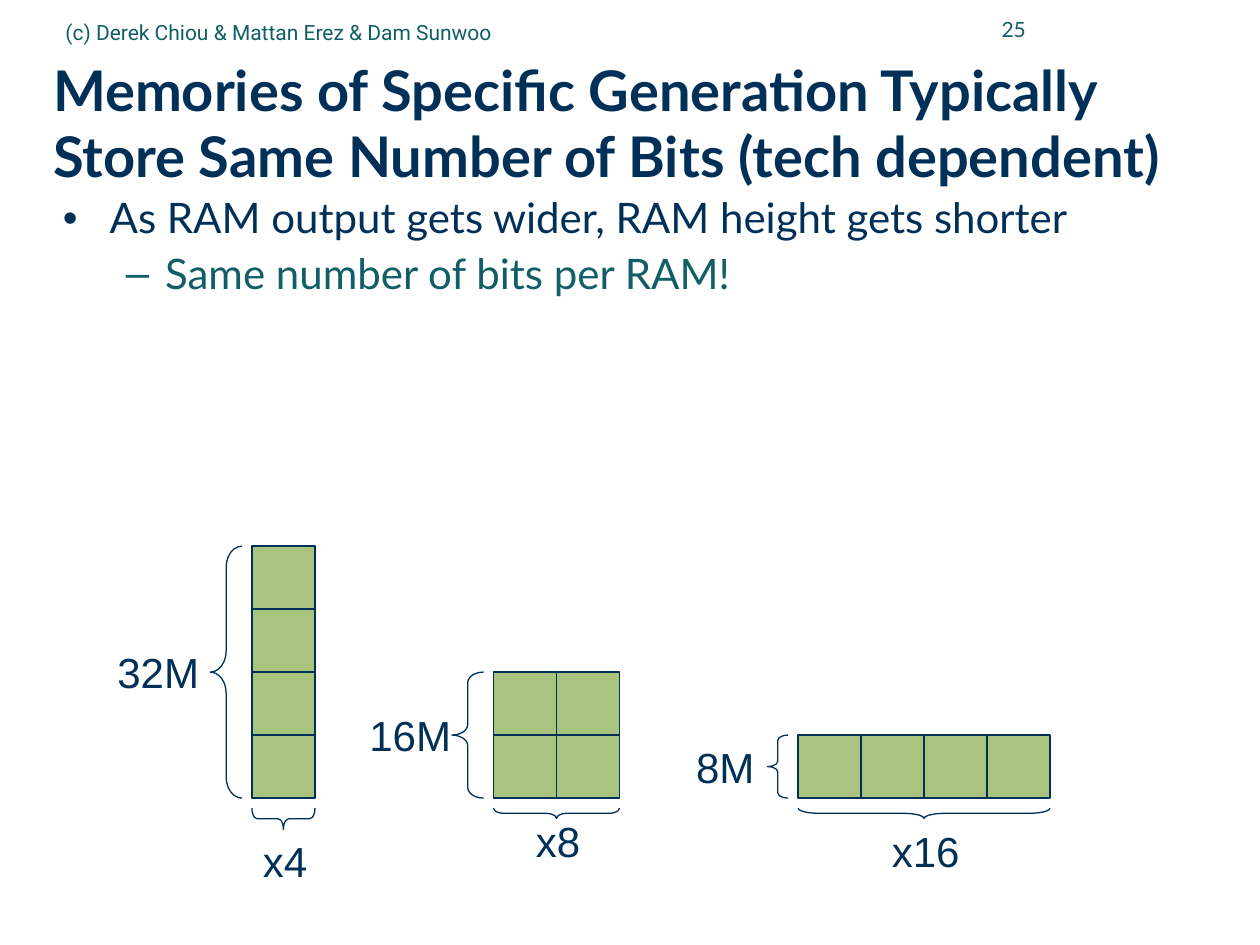
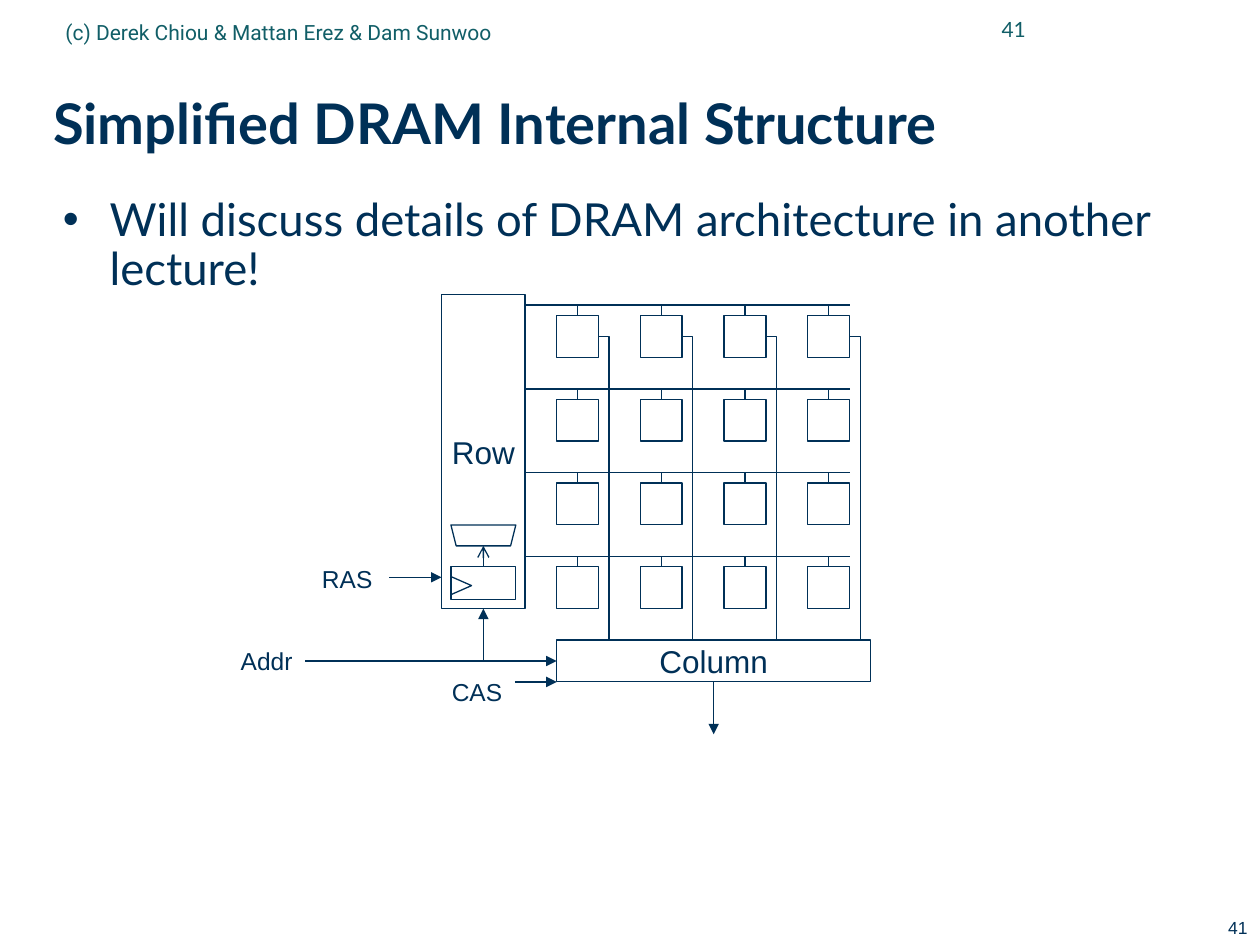
from dataclasses import dataclass
from typing import Optional

from lxml import etree
from pptx import Presentation
from pptx import util as u
from pptx.dml import color
from pptx.enum import shapes, text
from pptx.oxml import ns

SHAPE = shapes.MSO_SHAPE
ALIGN = text.PP_ALIGN
ANCHOR = text.MSO_ANCHOR


@dataclass(frozen=True)
class Theme:
    navy: str = "003057"
    teal: str = "115E67"
    green: str = "A9C47F"
    heading_font: str = "Lato"
    credit_font: str = "Roboto"
    diagram_font: str = "Arial"
    title_size: float = 32
    ram_size: float = 24
    block_size: float = 18
    signal_size: float = 14
    header_size: float = 12
    corner_size: float = 10
    line_width: float = 0.75


THEME = Theme()


@dataclass(frozen=True)
class Box:
    left: float
    top: float
    width: float
    height: float

    def lengths(self) -> tuple:
        return tuple(u.Cm(v) for v in (self.left, self.top, self.width, self.height))


def centred(x: float, y: float, width: float, height: float) -> Box:
    return Box(x - width / 2, y - height / 2, width, height)


@dataclass(frozen=True)
class Style:
    font: str
    size: float
    color: str = THEME.navy
    bold: bool = False
    align: ALIGN = ALIGN.LEFT


@dataclass(frozen=True)
class Bullet:
    words: str
    size: float
    level: int = 0


@dataclass(frozen=True)
class BulletLook:
    mark: str
    color: str
    margin: float
    hang: float
    before: float


@dataclass(frozen=True)
class Ram:
    rows: int
    columns: int
    left: float
    depth: str
    depth_x: float
    depth_width: float
    side_brace: float
    output: str
    output_top: float
    output_width: float
    base_brace: float


@dataclass(frozen=True)
class Signal:
    name: str
    x: float
    y: float


TITLE = Box(1.07, 1.27, 23.9, 2.49)
BODY = Box(1.27, 3.98, 23.7, 15.01)
PAGE_NUMBER = Box(18.62, -0.05, 2.31, 1.27)
CREDIT = Box(1.07, 0.06, 14.4, 1.17)
CORNER_NUMBER = Box(19.48, 18.36, 5.92, 0.69)

BULLET_LOOKS = (
    BulletLook("•", THEME.navy, 0.94, 0.94, 6.5),
    BulletLook("–", THEME.teal, 2.06, 0.79, 6),
)

RAM_STYLE = Style(THEME.diagram_font, THEME.ram_size, align=ALIGN.CENTER)
BLOCK_STYLE = Style(THEME.diagram_font, THEME.block_size, align=ALIGN.CENTER)
SIGNAL_STYLE = Style(THEME.diagram_font, THEME.signal_size, align=ALIGN.CENTER)

BIT_BLOCK = 1.27
RAM_BASE = 16.09
BRACE_GAP = 0.2
RAMS = (
    Ram(4, 1, 5.08, "32M", 3.19, 2.3, 0.64, "x4", 16.71, 1.6, 0.43),
    Ram(2, 2, 9.95, "16M", 8.27, 2.3, 0.64, "x8", 16.31, 1.6, 0.21),
    Ram(1, 4, 16.09, "8M", 14.62, 1.9, 0.42, "x16", 16.51, 2.1, 0.21),
)

DRAM_LEFT = 8.9
DRAM_TOP = 5.94
STEP = 6.33 / 30
CELLS = 4
PITCH = 8
SIGNAL_WIDTH = 2.2
SIGNALS = (Signal("RAS", -9, 27.1), Signal("CAS", 3.4, 37.9), Signal("Addr", -16.7, 35))


def rgb(value: str) -> color.RGBColor:
    return color.RGBColor.from_string(value)


def style_paragraph(paragraph, style: Style) -> None:
    paragraph.alignment = style.align
    font = paragraph.font
    font.name, font.size, font.bold = style.font, u.Pt(style.size), style.bold
    font.color.rgb = rgb(style.color)


def add_frame(slide, box: Box, anchor: ANCHOR = ANCHOR.TOP, wrap: bool = True,
              inset: Optional[float] = None):
    frame = slide.shapes.add_textbox(*box.lengths()).text_frame
    frame.word_wrap = wrap
    frame.vertical_anchor = anchor
    if not wrap:
        frame.auto_size = text.MSO_AUTO_SIZE.SHAPE_TO_FIT_TEXT
    if inset is not None:
        frame.margin_left = frame.margin_right = u.Cm(inset)
        frame.margin_top = frame.margin_bottom = u.Cm(inset)
    return frame


def write(frame, words: str, style: Style) -> None:
    frame.text = words
    style_paragraph(frame.paragraphs[0], style)


def set_bullet(paragraph, look: BulletLook) -> None:
    properties = paragraph._p.get_or_add_pPr()
    properties.set("marL", str(u.Cm(look.margin)))
    properties.set("indent", str(-u.Cm(look.hang)))
    mark_color = etree.SubElement(properties, ns.qn("a:buClr"))
    etree.SubElement(mark_color, ns.qn("a:srgbClr"), val=look.color)
    etree.SubElement(properties, ns.qn("a:buFont"), typeface=THEME.diagram_font)
    etree.SubElement(properties, ns.qn("a:buChar"), char=look.mark)


def add_bullets(slide, bullets: tuple) -> None:
    frame = add_frame(slide, BODY, inset=0)
    for index, bullet in enumerate(bullets):
        look = BULLET_LOOKS[bullet.level]
        paragraph = frame.add_paragraph() if index else frame.paragraphs[0]
        paragraph.text = bullet.words
        paragraph.level = bullet.level
        paragraph.line_spacing = 0.9
        paragraph.space_before = u.Pt(look.before)
        set_bullet(paragraph, look)
        style_paragraph(paragraph, Style(THEME.heading_font, bullet.size, look.color))


def outline(shape, fill: Optional[str] = None) -> None:
    shape.shadow.inherit = False
    if fill:
        shape.fill.solid()
        shape.fill.fore_color.rgb = rgb(fill)
    else:
        shape.fill.background()
    shape.line.color.rgb = rgb(THEME.navy)
    shape.line.width = u.Pt(THEME.line_width)


def add_outlined(slide, kind: SHAPE, box: Box, fill: Optional[str] = None,
                 rotation: float = 0):
    shape = slide.shapes.add_shape(kind, *box.lengths())
    outline(shape, fill)
    shape.rotation = rotation
    return shape


def add_brace(slide, box: Box, rotation: float = 0) -> None:
    brace = add_outlined(slide, SHAPE.LEFT_BRACE, box, rotation=rotation)
    brace.adjustments[0] = box.height / 12 / box.width


def add_line(slide, start: tuple, end: tuple, head: Optional[str] = None,
             kind: shapes.MSO_CONNECTOR = shapes.MSO_CONNECTOR.STRAIGHT):
    line = slide.shapes.add_connector(kind, *(u.Cm(v) for v in (*start, *end)))
    line.line.color.rgb = rgb(THEME.navy)
    line.line.width = u.Pt(THEME.line_width)
    if head:
        etree.SubElement(line.line._get_or_add_ln(), ns.qn("a:tailEnd"), type=head)
    etree.SubElement(line._element.spPr, ns.qn("a:effectLst"))
    return line


def start_slide(deck, title: str, number: str, bullets: tuple):
    slide = deck.slides.add_slide(deck.slide_layouts[6])
    heading = add_frame(slide, TITLE, ANCHOR.MIDDLE, inset=0)
    write(heading, title, Style(THEME.heading_font, THEME.title_size, bold=True))
    heading.paragraphs[0].line_spacing = 0.99
    add_bullets(slide, bullets)
    write(add_frame(slide, PAGE_NUMBER, ANCHOR.MIDDLE), number,
          Style(THEME.heading_font, THEME.header_size, THEME.teal, align=ALIGN.RIGHT))
    write(add_frame(slide, CREDIT, ANCHOR.MIDDLE),
          "(c) Derek Chiou & Mattan Erez & Dam Sunwoo",
          Style(THEME.credit_font, THEME.header_size, THEME.teal))
    return slide


def draw_ram(slide, ram: Ram) -> None:
    width, height = ram.columns * BIT_BLOCK, ram.rows * BIT_BLOCK
    top = RAM_BASE - height
    middle_x, middle_y = ram.left + width / 2, top + height / 2
    for row in range(ram.rows):
        for column in range(ram.columns):
            add_outlined(slide, SHAPE.RECTANGLE,
                         Box(ram.left + column * BIT_BLOCK, top + row * BIT_BLOCK,
                             BIT_BLOCK, BIT_BLOCK), THEME.green)
    add_brace(slide, Box(ram.left - BRACE_GAP - ram.side_brace, top, ram.side_brace, height))
    add_brace(slide, centred(middle_x, RAM_BASE + BRACE_GAP + ram.base_brace / 2,
                             ram.base_brace, width), 270)
    depth_box = centred(ram.depth_x, middle_y, ram.depth_width, 1.27)
    write(add_frame(slide, depth_box, wrap=False), ram.depth, RAM_STYLE)
    output_box = Box(middle_x + 0.03 - ram.output_width / 2, ram.output_top,
                     ram.output_width, 1.27)
    write(add_frame(slide, output_box, wrap=False), ram.output, RAM_STYLE)


def at(x: float, y: float) -> tuple:
    return DRAM_LEFT + x * STEP, DRAM_TOP + y * STEP


def block(x: float, y: float, width: float, height: float) -> Box:
    return Box(*at(x, y), width * STEP, height * STEP)


def add_decoder(slide, box: Box, name: str):
    decoder = add_outlined(slide, SHAPE.RECTANGLE, box)
    decoder.text_frame.word_wrap = False
    decoder.text_frame.vertical_anchor = ANCHOR.MIDDLE
    write(decoder.text_frame, name, BLOCK_STYLE)
    return decoder


def draw_cell_array(slide) -> None:
    for row in range(CELLS):
        word_y = 1 + row * PITCH
        add_line(slide, at(8, word_y), at(39, word_y))
        for column in range(CELLS):
            cell_x = 11 + column * PITCH
            cell = add_outlined(slide, SHAPE.RECTANGLE, block(cell_x, word_y + 1, 4, 4))
            tap = add_line(slide, at(cell_x + 2, word_y), at(cell_x + 2, word_y + 1))
            tap.end_connect(cell, 0)
    for column in range(CELLS):
        right = 15 + column * PITCH
        start, *bends = [tuple(u.Cm(v) for v in at(x, y)) for x, y in
                         ((right, 4), (right + 1, 4), (right + 1, 33))]
        bit_line = slide.shapes.build_freeform(*start)
        bit_line.add_line_segments(bends, close=False)
        outline(bit_line.convert_to_shape())


def draw_dram(slide) -> None:
    draw_cell_array(slide)
    add_decoder(slide, block(0, 0, 8, 30), "Row")
    column_decoder = add_decoder(slide, block(11, 33, 30, 4), "Column")
    address = add_line(slide, at(-11, 35), at(11, 35), "triangle")
    address.end_connect(column_decoder, 1)
    row_address = add_line(slide, at(-13, 35), at(4, 30), "triangle",
                           shapes.MSO_CONNECTOR.ELBOW)
    row_address._element.spPr.find(ns.qn("a:prstGeom")).set("prst", "bentConnector2")
    data_out = add_line(slide, at(26, 37), at(26, 42), "triangle")
    data_out.begin_connect(column_decoder, 2)
    add_line(slide, at(-5, 27), at(0, 27), "triangle")
    add_line(slide, at(7, 37), at(11, 37), "triangle")
    for signal in SIGNALS:
        label_box = centred(*at(signal.x, signal.y), SIGNAL_WIDTH, 0.84)
        write(add_frame(slide, label_box, wrap=False), signal.name, SIGNAL_STYLE)
    register = add_outlined(slide, SHAPE.RECTANGLE, block(0.9, 26, 6.2, 3.1))
    add_outlined(slide, SHAPE.ISOSCELES_TRIANGLE, centred(*at(1.9, 27.8), 0.36, 0.41),
                 rotation=90)
    add_outlined(slide, SHAPE.TRAPEZOID, block(0.9, 22, 6.2, 2), rotation=180)
    add_line(slide, at(4, 26), at(4, 24), "arrow").begin_connect(register, 0)


def main() -> None:
    deck = Presentation()
    deck.slide_width, deck.slide_height = u.Cm(25.4), u.Cm(19.05)
    generations = start_slide(
        deck,
        "Memories of Specific Generation Typically Store Same Number of Bits (tech dependent)",
        "25", (Bullet("As RAM output gets wider, RAM height gets shorter", 24),
               Bullet("Same number of bits per RAM!", 24, 1)))
    for ram in RAMS:
        draw_ram(generations, ram)
    structure = start_slide(
        deck, "Simplified DRAM Internal Structure", "41",
        (Bullet("Will discuss details of DRAM architecture in another lecture!", 26),))
    write(add_frame(structure, CORNER_NUMBER), "41",
          Style(THEME.diagram_font, THEME.corner_size, align=ALIGN.RIGHT))
    draw_dram(structure)
    deck.save("out.pptx")


if __name__ == "__main__":
    main()
